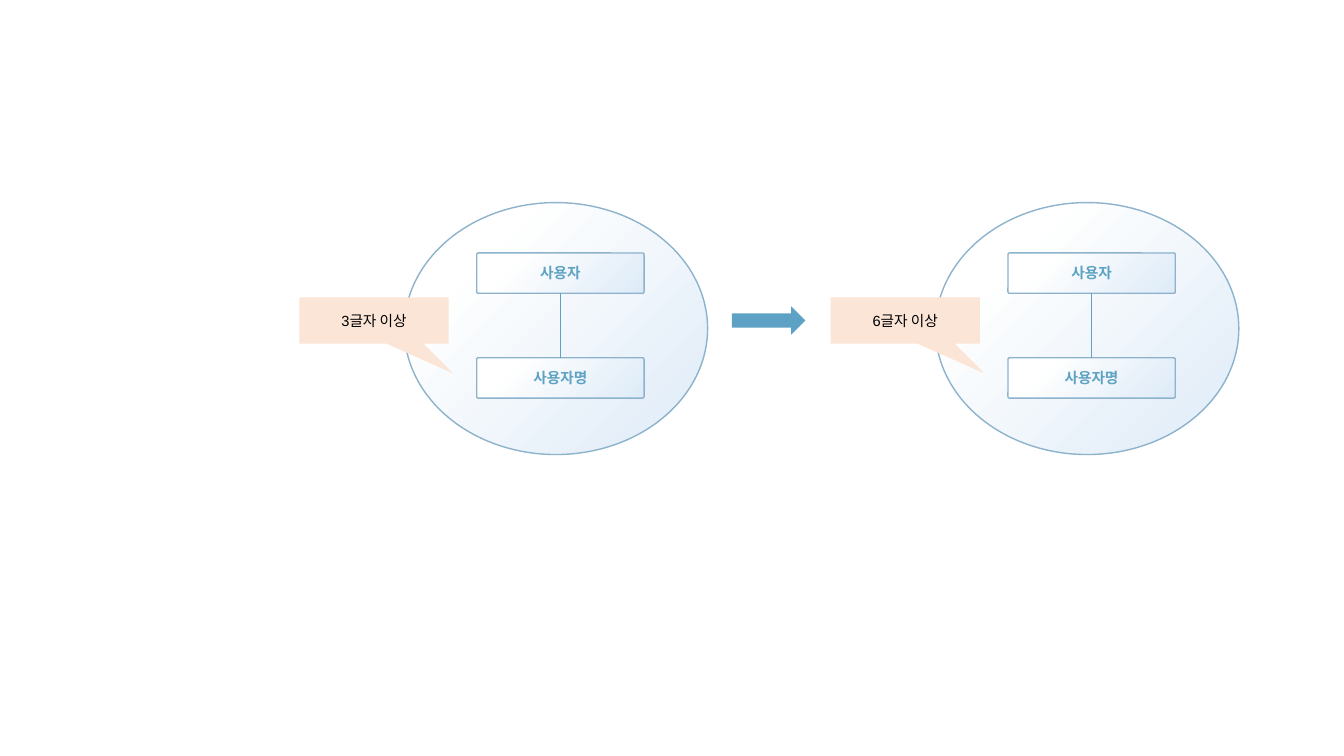
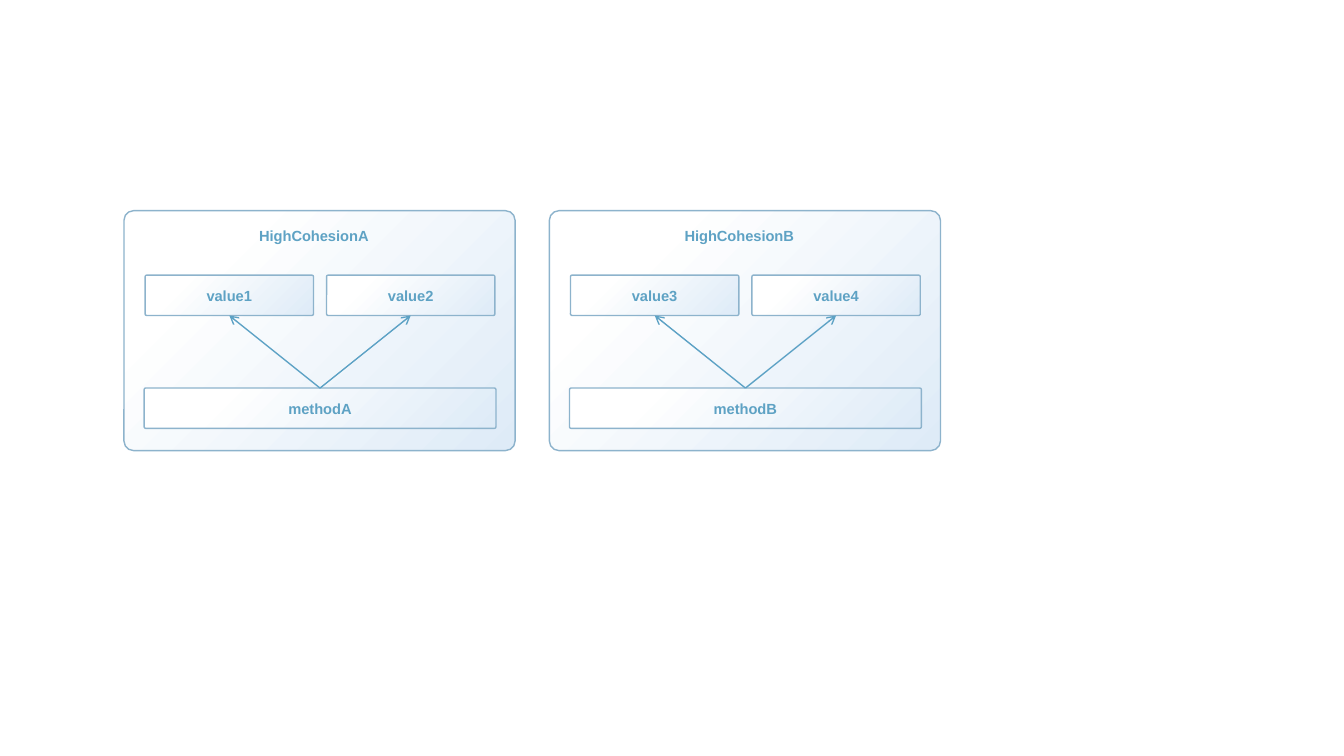
"""Two slides: a rule changing between states, and two cohesive classes."""
from lxml import etree
from pptx import Presentation
from pptx import util as u
from pptx.dml.color import RGBColor
from pptx.enum import shapes, text
from pptx.oxml.ns import qn

CELL = u.Inches(0.1)
FONT, SIZE = "Arial", 10.5
WHITE, PALE, EDGE = "FFFFFF", "DEEBF7", "8DB3CC"
LINK, LABEL, PEACH, BLACK = "5DA2C5", "5EA2C4", "FBE5D6", "000000"
SHAPE = shapes.MSO_SHAPE
BOX_H = 4


def rgb(value):
    """Turn a hex string into a colour."""
    return RGBColor.from_string(value)


def grid(*cells):
    """Turn columns and rows of the slide grid into lengths."""
    return [u.Emu(round(c * CELL)) for c in cells]


def write(sp, label, color, bold):
    """Centre one line of text in a shape or text box."""
    tf = sp.text_frame
    tf.word_wrap = True
    tf.vertical_anchor = text.MSO_ANCHOR.MIDDLE
    p = tf.paragraphs[0]
    p.alignment = text.PP_ALIGN.CENTER
    r = p.add_run()
    r.text = label
    r.font.name, r.font.size, r.font.bold = FONT, u.Pt(SIZE), bold
    r.font.color.rgb = rgb(color)


def flat(s, kind, at, fill):
    """Add a shape of one colour without an outline."""
    sp = s.shapes.add_shape(kind, *grid(*at))
    sp.shadow.inherit = False
    sp.fill.solid()
    sp.fill.fore_color.rgb = rgb(fill)
    sp.line.fill.background()
    return sp


def glossy(s, kind, at):
    """Add an outlined shape shading from white to pale blue."""
    sp = s.shapes.add_shape(kind, *grid(*at))
    sp.shadow.inherit = False
    sp.fill.gradient()
    sp.fill.gradient_angle = 315
    for stop, position, color in zip(sp.fill.gradient_stops, (0.21, 1), (WHITE, PALE)):
        stop.position = position
        stop.color.rgb = rgb(color)
    sp.line.color.rgb = rgb(EDGE)
    sp.line.width = u.Pt(1)
    if kind == SHAPE.ROUNDED_RECTANGLE:
        sp.adjustments[0] = 0.04
    return sp


def box(s, x, y, w, label):
    """Add a labelled box."""
    sp = glossy(s, SHAPE.ROUNDED_RECTANGLE, (x, y, w, BOX_H))
    write(sp, label, LABEL, True)
    return sp


def link(s, upper, lower, arrow=False):
    """Join the bottom of one box to the top of another."""
    cx = s.shapes.add_connector(shapes.MSO_CONNECTOR.STRAIGHT, 0, 0, 0, 0)
    cx.begin_connect(upper, 2)
    cx.end_connect(lower, 0)
    cx.line.color.rgb = rgb(LINK)
    cx.line.width = u.Pt(1)
    if arrow:
        ln = cx.line._get_or_add_ln()
        etree.SubElement(ln, qn("a:headEnd"), type="arrow")
    etree.SubElement(cx._element.spPr, qn("a:effectLst"))


def user_state(s, x, rule):
    """Draw a user, its name and the rule on the name inside an ellipse."""
    glossy(s, SHAPE.OVAL, (x, 20.1, 30.1, 25))
    user, name = [box(s, x + 7.2, y, 16.6, label)
                  for y, label in ((25.1, "사용자"), (35.5, "사용자명"))]
    link(s, user, name)
    note = flat(s, SHAPE.RECTANGULAR_CALLOUT, (x - 10.4, 29.5, 14.8, 4.6), PEACH)
    note.adjustments[0], note.adjustments[1] = 0.53, 1.14
    write(note, rule, BLACK, False)


def class_panel(s, x, title, values, method):
    """Draw a class whose method uses each of its values."""
    glossy(s, SHAPE.ROUNDED_RECTANGLE, (x, 20.9, 38.8, 23.8))
    tb = s.shapes.add_textbox(*grid(x + 10, 22, 17.7, 2.8))
    write(tb, title, LABEL, True)
    base = box(s, x + 2, 38.5, 34.9, method)
    for i, label in enumerate(values):
        link(s, box(s, x + 2.1 + 18 * i, 27.3, 16.7, label), base, arrow=True)


def main():
    """Build and save both slides."""
    prs = Presentation()
    prs.slide_width, prs.slide_height = grid(133.33, 75)
    blank = prs.slide_layouts[6]

    s = prs.slides.add_slide(blank)
    for x, rule in ((40.1, "3글자 이상"), (92.8, "6글자 이상")):
        user_state(s, x, rule)
    flat(s, SHAPE.RIGHT_ARROW, (72.6, 30.4, 7.3, 2.8), LINK)

    s = prs.slides.add_slide(blank)
    class_panel(s, 12.3, "HighCohesionA", ("value1", "value2"), "methodA")
    class_panel(s, 54.5, "HighCohesionB", ("value3", "value4"), "methodB")

    prs.save("out.pptx")


if __name__ == "__main__":
    main()
